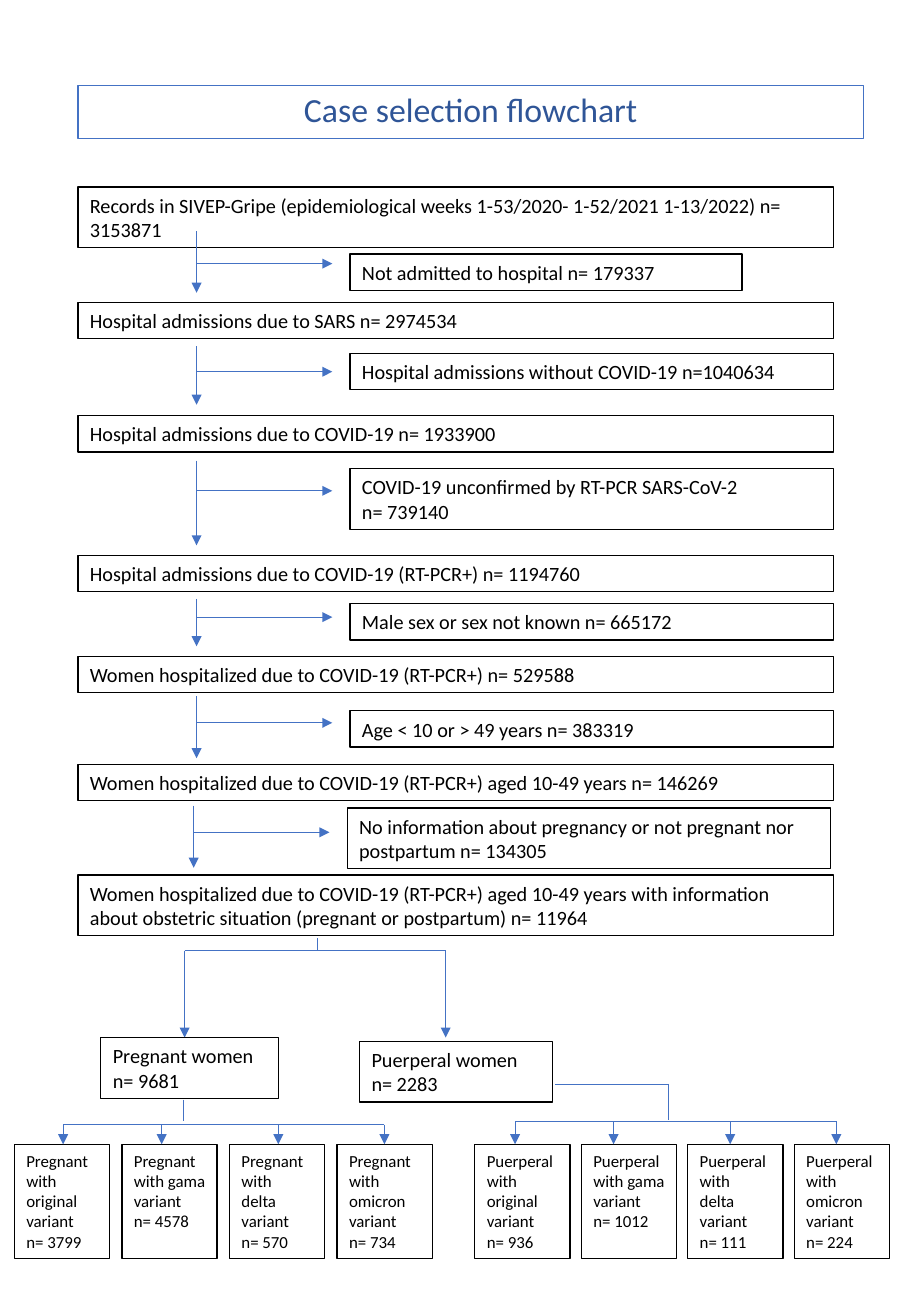
from dataclasses import dataclass

from lxml import etree
from pptx import Presentation
from pptx.dml.color import RGBColor
from pptx.enum.shapes import MSO_CONNECTOR, MSO_SHAPE
from pptx.enum.text import MSO_ANCHOR, MSO_AUTO_SIZE, PP_ALIGN
from pptx.oxml.ns import qn
from pptx.util import Cm, Pt

BLACK = RGBColor(0x00, 0x00, 0x00)
BLUE = RGBColor(0x44, 0x72, 0xC4)
DARK_BLUE = RGBColor(0x2F, 0x55, 0x97)
FONT = "Calibri"
RECTANGLE = MSO_SHAPE.RECTANGLE
STRAIGHT = MSO_CONNECTOR.STRAIGHT
TOP, MIDDLE = MSO_ANCHOR.TOP, MSO_ANCHOR.MIDDLE
LEFT, CENTER = PP_ALIGN.LEFT, PP_ALIGN.CENTER
GROW, FIXED = MSO_AUTO_SIZE.SHAPE_TO_FIT_TEXT, MSO_AUTO_SIZE.NONE

ONE_LINE, TWO_LINES = 0.76, 1.27
STAGE_LEFT, STAGE_WIDTH = 1.63, 15.8
STAGES = [
    (3.91, TWO_LINES, "Records in SIVEP-Gripe (epidemiological weeks 1-53/2020- 1-52/2021 1-13/2022) n= 3153871"),
    (6.32, ONE_LINE, "Hospital admissions due to SARS n= 2974534"),
    (8.69, ONE_LINE, "Hospital admissions due to COVID-19 n= 1933900"),
    (11.61, ONE_LINE, "Hospital admissions due to COVID-19 (RT-PCR+) n= 1194760"),
    (13.72, ONE_LINE, "Women hospitalized due to COVID-19 (RT-PCR+) n= 529588"),
    (15.98, ONE_LINE, "Women hospitalized due to COVID-19 (RT-PCR+) aged 10-49 years n= 146269"),
    (18.29, TWO_LINES, "Women hospitalized due to COVID-19 (RT-PCR+) aged 10-49 years with information "
                       "about obstetric situation (pregnant or postpartum) n= 11964"),
]


@dataclass
class Box:
    """A rectangle in centimetres."""
    left: float
    top: float
    width: float
    height: float


EXCLUSIONS = [
    (Box(7.32, 5.31, 8.2, ONE_LINE), "Not admitted to hospital n= 179337", 4.83, 5.51, 6.12),
    (Box(7.32, 7.39, 10.11, ONE_LINE), "Hospital admissions without COVID-19 n=1040634", 7.24, 7.77, 8.46),
    (Box(7.32, 9.8, 10.11, TWO_LINES), "COVID-19 unconfirmed by RT-PCR SARS-CoV-2\nn= 739140", 9.63, 10.26, 11.4),
    (Box(7.32, 12.62, 10.11, ONE_LINE), "Male sex or sex not known n= 665172", 12.52, 12.9, 13.51),
    (Box(7.32, 14.86, 10.11, ONE_LINE), "Age < 10 or > 49 years n= 383319", 14.55, 15.11, 15.85),
    (Box(7.26, 16.89, 10.11, TWO_LINES),
     "No information about pregnancy or not pregnant nor postpartum n= 134305", 16.84, 17.4, 18.14),
]


def write_text(shape, text, size=12, color=BLACK, align=LEFT, anchor=TOP, fit=GROW, spacing=1.0):
    """Fill a shape with formatted paragraphs."""
    frame = shape.text_frame
    frame.text = text
    frame.word_wrap = True
    frame.auto_size = fit
    frame.vertical_anchor = anchor
    for para in frame.paragraphs:
        para.alignment = align
        para.line_spacing = spacing
        for span in para.runs:
            span.font.name = FONT
            span.font.size = Pt(size)
            span.font.color.rgb = color


def add_box(page, box, text, size=12):
    """Draw an outlined box with its text."""
    shape = page.shapes.add_shape(RECTANGLE, Cm(box.left), Cm(box.top), Cm(box.width), Cm(box.height))
    shape.shadow.inherit = False
    shape.fill.background()
    shape.line.color.rgb = BLACK
    shape.line.width = Pt(0.75)
    write_text(shape, text, size=size)


def add_line(page, start, end, arrow=False):
    """Draw a thin blue line, with an arrowhead at its end if asked."""
    line = page.shapes.add_connector(STRAIGHT, *(Cm(value) for value in (*start, *end)))
    line.line.color.rgb = BLUE
    line.line.width = Pt(0.5)
    properties = line._element.spPr
    if arrow:
        etree.SubElement(properties.find(qn("a:ln")), qn("a:tailEnd"), type="triangle")
    etree.SubElement(properties, qn("a:effectLst"))


def add_title(page, box):
    """Place the outlined title."""
    title = page.shapes.title
    title.left, title.top = Cm(box.left), Cm(box.top)
    title.width, title.height = Cm(box.width), Cm(box.height)
    title.line.color.rgb = BLUE
    title.line.width = Pt(0.75)
    write_text(title, "Case selection flowchart", size=20, color=DARK_BLUE,
               align=CENTER, anchor=MIDDLE, fit=FIXED, spacing=0.9)


def add_exclusion(page, box, text, start, branch, end):
    """Draw an excluded group and the arrows that lead past it and to it."""
    trunk = box.left - 3.21
    add_box(page, box, text)
    add_line(page, (trunk, start), (trunk, end), arrow=True)
    add_line(page, (trunk, branch), (trunk + 2.84, branch), arrow=True)


def add_split(page, box):
    """Divide the last stage into two arrows spanning the box."""
    right, bottom = box.left + box.width, box.top + box.height
    stem = box.left + 2.77
    add_line(page, (stem, box.top - 0.26), (stem, box.top))
    add_line(page, (box.left, box.top), (right, box.top))
    for x in (box.left, right):
        add_line(page, (x, box.top), (x, bottom), arrow=True)


def add_variants(page, box, bus_left, bus_top, group, counts):
    """Draw the four variant boxes under their branching line."""
    breaks = (" ", " ", "\n", " ")
    names = ("original", "gama", "delta", "omicron")
    drops = (0, 2.06, 4.5, 6.72)
    width = 1.99
    step = (box.width - width) / (len(names) - 1)
    add_line(page, (bus_left, bus_top), (bus_left + drops[-1], bus_top))
    for index, (gap, name, drop, count) in enumerate(zip(breaks, names, drops, counts)):
        cell = Box(box.left + index * step, box.top, width, box.height)
        add_box(page, cell, f"{group} with{gap}{name} variant\vn= {count}", size=10)
        add_line(page, (bus_left + drop, bus_top), (bus_left + drop, box.top), arrow=True)


def main():
    """Build the flowchart."""
    deck = Presentation()
    deck.slide_width, deck.slide_height = Cm(19.05), Cm(27.51)
    page = deck.slides.add_slide(deck.slide_layouts[5])
    add_title(page, Box(1.63, 1.78, 16.43, 1.12))
    for top, height, text in STAGES:
        add_box(page, Box(STAGE_LEFT, top, STAGE_WIDTH, height), text)
    for exclusion in EXCLUSIONS:
        add_exclusion(page, *exclusion)
    add_split(page, Box(3.86, 19.87, 5.46, 1.82))
    add_box(page, Box(2.11, 21.69, 3.71, TWO_LINES), "Pregnant women\vn= 9681")
    add_box(page, Box(7.52, 21.77, 4.04, TWO_LINES), "Puerperal women\vn= 2283")
    add_line(page, (3.84, 22.99), (3.84, 23.44))
    add_line(page, (11.61, 22.66), (13.97, 22.66))
    add_line(page, (13.97, 22.66), (13.97, 23.42))
    add_variants(page, Box(0.3, 23.92, 8.74, 2.39), 1.32, 23.51, "Pregnant", (3799, 4578, 570, 734))
    add_variants(page, Box(9.93, 23.92, 8.67, 2.39), 10.77, 23.44, "Puerperal", (936, 1012, 111, 224))
    deck.save("out.pptx")


if __name__ == "__main__":
    main()
